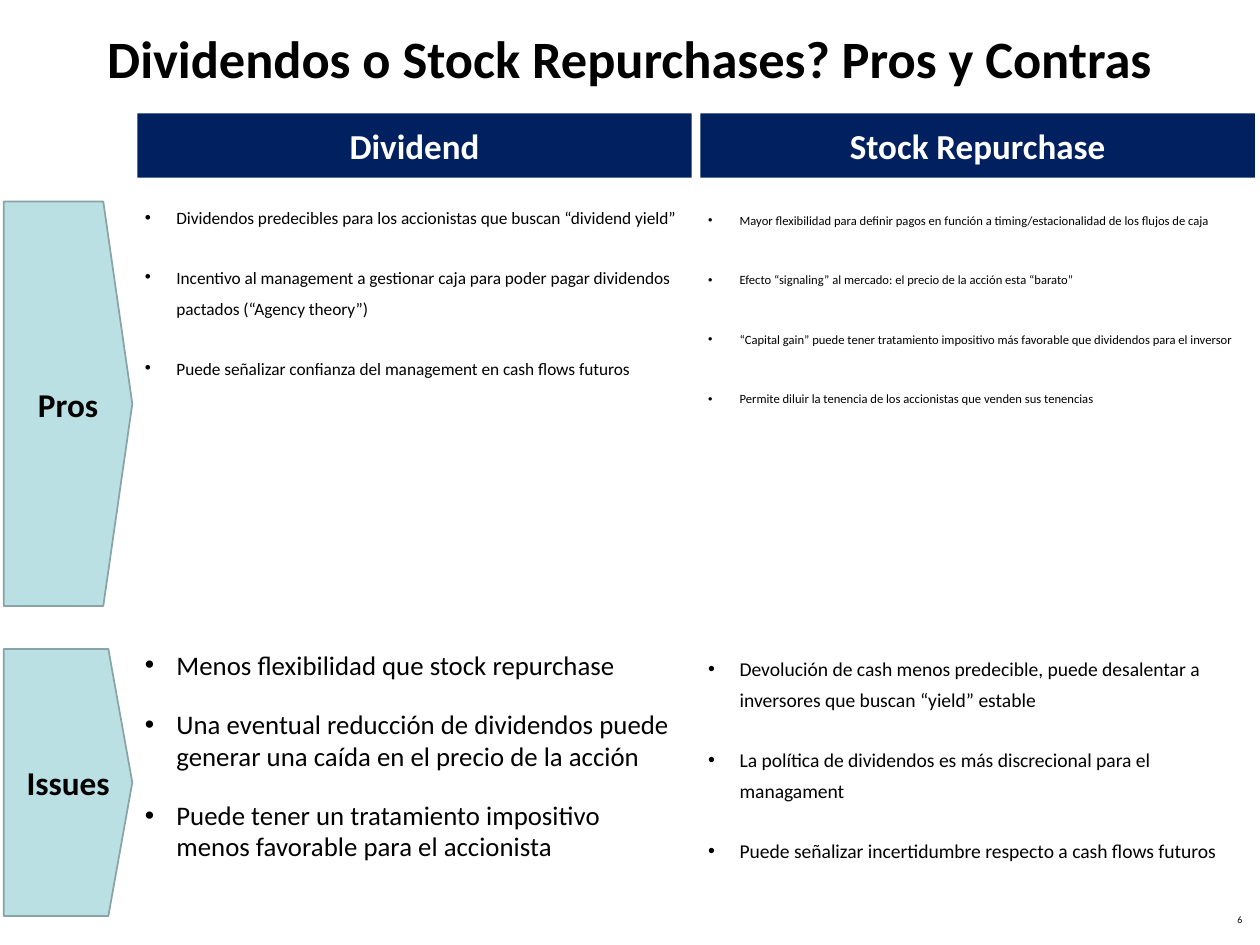
from lxml.etree import SubElement as Sub
from pptx import Presentation
from pptx.dml.color import RGBColor as RGB
from pptx.enum.shapes import MSO_SHAPE as Shape
from pptx.enum.text import MSO_ANCHOR as Anchor, MSO_AUTO_SIZE as Auto, PP_ALIGN as Align
from pptx.oxml.ns import qn
from pptx.util import Inches, Pt

theme = {
    "font": "Calibri", "ink": "000000", "white": "FFFFFF",
    "navy": "002060", "teal": "BBE0E3", "edge": "89A4A7",
    "title": 30, "head": 20, "tag": 19, "page": 5.6,
}

deck = Presentation()
deck.slide_width, deck.slide_height = Inches(10), Inches(7.5)
slide = deck.slides.add_slide(deck.slide_layouts.get_by_name("Comparison"))
shapes = slide.shapes


def place(shape, *box):
    for name, size in zip(("left", "top", "width", "height"), box):
        setattr(shape, name, Inches(size))


def write(shape, lines, size, tone="ink", bold=False, align=Align.CENTER, anchor=Anchor.MIDDLE, **form):
    frame = shape.text_frame
    frame.text = "\n".join(lines)
    look = {
        "word_wrap": True, "auto_size": Auto.NONE, "vertical_anchor": anchor,
        "margin_left": Inches(0.1), "margin_right": Inches(0.1),
        "margin_top": Inches(0.05), "margin_bottom": Inches(0.05),
    }
    for name, value in look.items():
        setattr(frame, name, value)
    for par in frame.paragraphs:
        for name, value in {"alignment": align, **form}.items():
            setattr(par, name, value)
        for run in par.runs:
            for name, value in {"name": theme["font"], "size": Pt(size), "bold": bold}.items():
                setattr(run.font, name, value)
            run.font.color.rgb = RGB.from_string(theme[tone])


place(shapes.title, 0, 0, 10, 0.91)
write(shapes.title, ["Dividendos o Stock Repurchases? Pros y Contras"], theme["title"], bold=True)

left, step, wide = 1.05, 4.47, 4.43
cols = [left + step * n for n in range(2)]

for x, text in zip(cols, ("Dividend", "Stock Repurchase")):
    head = shapes.add_shape(Shape.RECTANGLE, 0, 0, 0, 0)
    place(head, x + 0.04, 0.9, 4.4, 0.51)
    head.shadow.inherit = False
    head.fill.solid()
    head.fill.fore_color.rgb = RGB.from_string(theme["navy"])
    head.line.fill.background()
    write(head, [text], theme["head"], "white", True)

rows = [
    ("Pros", 1.6, 3.21, 0.82, 1.51, [
        (9.9, ["Dividendos predecibles para los accionistas que buscan “dividend yield”",
               "Incentivo al management a gestionar caja para poder pagar dividendos pactados (“Agency theory”)",
               "Puede señalizar confianza del management en cash flows futuros"]),
        (7.2, ["Mayor flexibilidad para definir pagos en función a timing/estacionalidad de los flujos de caja",
               "Efecto “signaling” al mercado: el precio de la acción esta “barato”",
               "“Capital gain” puede tener tratamiento impositivo más favorable que dividendos para el inversor",
               "Permite diluir la tenencia de los accionistas que venden sus tenencias"]),
    ]),
    ("Issues", 5.15, 2.12, 0.86, 5.1, [
        (15.3, ["Menos flexibilidad que stock repurchase",
                "Una eventual reducción de dividendos puede generar una caída en el precio de la acción",
                "Puede tener un tratamiento impositivo menos favorable para el accionista"]),
        (11.2, ["Devolución de cash menos predecible, puede desalentar a inversores que buscan “yield” estable",
                "La política de dividendos es más discrecional para el managament",
                "Puede señalizar incertidumbre respecto a cash flows futuros"]),
    ]),
]
bodies = iter([item for item in slide.placeholders if item.placeholder_format.idx > 0])

for label, top, tall, neck, start, lists in rows:
    pen = shapes.build_freeform(Inches(0.03), Inches(top), 1.0)
    points = [(neck, top), (left, top + tall / 2), (neck, top + tall), (0.03, top + tall)]
    pen.add_line_segments([(Inches(x), Inches(y)) for x, y in points], close=True)
    tag = pen.convert_to_shape()
    tag.shadow.inherit = False
    tag.fill.solid()
    tag.fill.fore_color.rgb = RGB.from_string(theme["teal"])
    tag.line.color.rgb = RGB.from_string(theme["edge"])
    tag.line.width = Pt(1)
    write(tag, [label], theme["tag"], bold=True)

    for x, (size, lines) in zip(cols, lists):
        body = next(bodies)
        place(body, x, start, wide, 1.61)
        write(body, lines, size, align=Align.LEFT, anchor=Anchor.TOP,
              line_spacing=Pt(18), space_before=Pt(16), space_after=Pt(0))
        for par in body.text_frame.paragraphs:
            prop = par._p.get_or_add_pPr()
            prop.set("marL", str(Inches(0.25)))
            prop.set("indent", str(-Inches(0.25)))
            Sub(Sub(prop, qn("a:buClr")), qn("a:srgbClr"), val=theme["ink"])
            Sub(prop, qn("a:buFont"), typeface="Arial")
            Sub(prop, qn("a:buChar"), char="•")

page = shapes.add_textbox(0, 0, 0, 0)
place(page, 7.63, 7.22, 2.33, 0.21)
write(page, ["6"], theme["page"], align=Align.RIGHT, anchor=Anchor.TOP, line_spacing=0.8)

deck.save("out.pptx")
